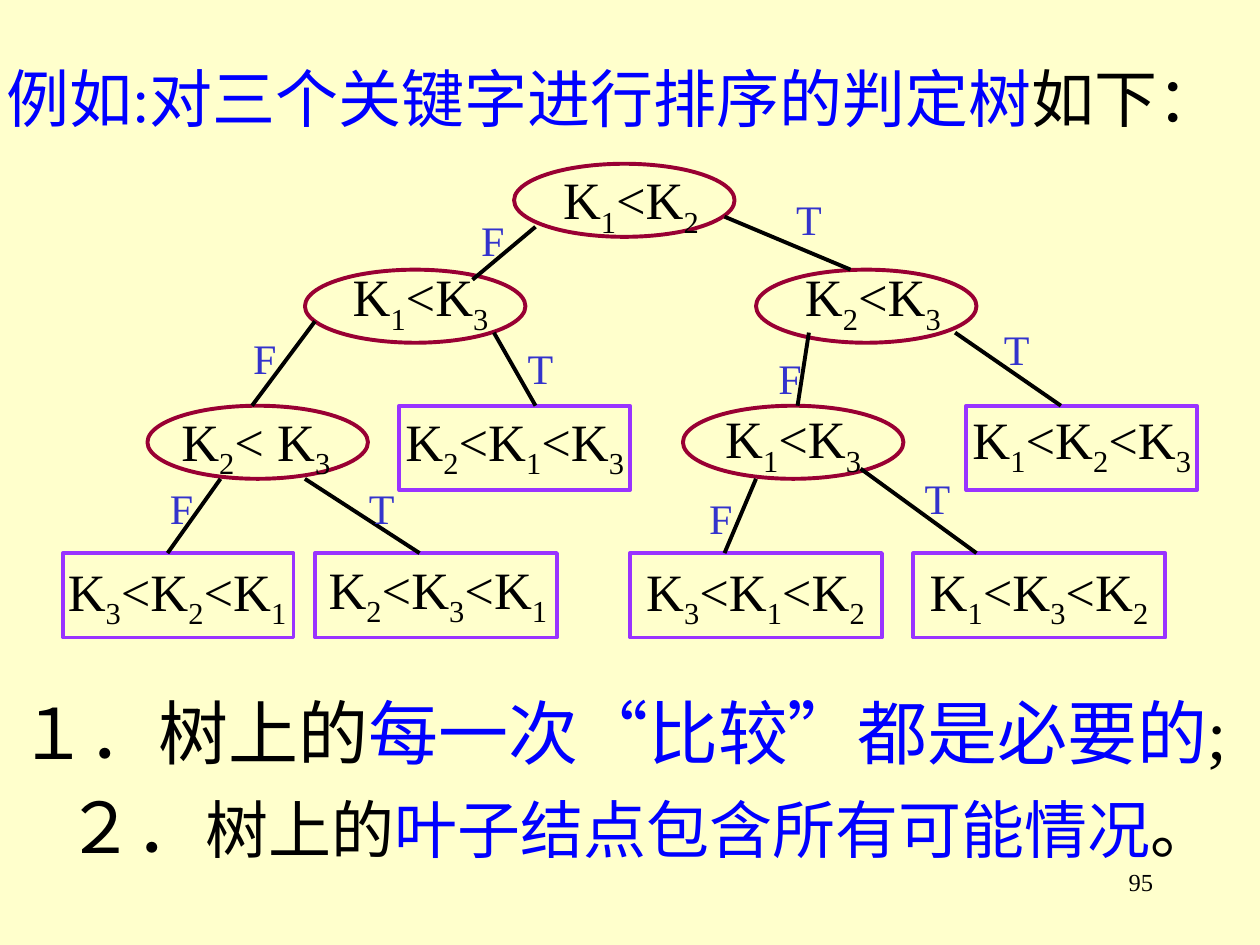
from dataclasses import dataclass
from typing import Optional

from lxml.etree import SubElement
from pptx import Presentation
from pptx.dml.color import RGBColor
from pptx.enum.shapes import MSO_CONNECTOR, MSO_SHAPE
from pptx.enum.text import MSO_ANCHOR, MSO_AUTO_SIZE, PP_ALIGN
from pptx.oxml.ns import qn
from pptx.util import Inches, Pt

FONT_NAME = "Times New Roman"
BACKGROUND = RGBColor(0xFF, 0xFF, 0xCC)
BLACK = RGBColor(0x00, 0x00, 0x00)
BLUE = RGBColor(0x00, 0x00, 0xFF)
BRANCH_BLUE = RGBColor(0x33, 0x33, 0xCC)
TEST_RED = RGBColor(0x99, 0x00, 0x33)
LEAF_PURPLE = RGBColor(0x99, 0x33, 0xFF)

LINE_WIDTH = 2.25
TEST_WIDTH, TEST_HEIGHT = 1.75, 0.58
LEAF_HEIGHT = 0.67
LABEL_HEIGHT = 0.67


@dataclass
class Label:
    """A comparison; its digits are set as subscripts."""
    text: str
    left: float
    top: float
    width: float


@dataclass
class Test:
    """An inner node; without a label, its text sits inside the ellipse."""
    left: float
    top: float
    label: Optional[Label] = None
    inner_text: str = ""


@dataclass
class Leaf:
    left: float
    top: float
    width: float
    label: Label


@dataclass
class Branch:
    start: tuple[float, float]
    end: tuple[float, float]
    answer: str
    answer_left: float
    answer_top: float


@dataclass
class Piece:
    text: str
    color: RGBColor
    size: Optional[float] = None


@dataclass
class Sentence:
    left: float
    top: float
    width: float
    height: float
    size: float
    pieces: list[Piece]


TESTS = [
    Test(4.08, 1.3, Label("K1<K2", 4.37, 1.28, 1.28)),
    Test(2.42, 2.14, Label("K1<K3", 2.7, 2.05, 1.28)),
    Test(6, 2.14, Label("K2<K3", 6.29, 2.05, 1.28)),
    Test(1.17, 3.22, Label("K2< K3", 1.34, 3.2, 1.38)),
    Test(5.42, 3.22, inner_text="K1<K3"),
]

LEAVES = [
    Leaf(3.17, 3.22, 1.83, Label("K2<K1<K3", 3.12, 3.2, 1.93)),
    Leaf(7.67, 3.22, 1.83, Label("K1<K2<K3", 7.62, 3.18, 1.93)),
    Leaf(0.5, 4.39, 1.83, Label("K3<K2<K1", 0.44, 4.39, 1.93)),
    Leaf(2.5, 4.39, 1.92, Label("K2<K3<K1", 2.51, 4.37, 1.93)),
    Leaf(5, 4.39, 2, Label("K3<K1<K2", 5.03, 4.39, 1.93)),
    Leaf(7.25, 4.39, 2, Label("K1<K3<K2", 7.28, 4.39, 1.93)),
]

BRANCHES = [
    Branch((4.25, 1.8), (3.75, 2.22), "F", 3.72, 1.65),
    Branch((5.75, 1.72), (6.75, 2.14), "T", 6.22, 1.49),
    Branch((2.5, 2.55), (2, 3.22), "F", 1.91, 2.59),
    Branch((3.92, 2.64), (4.25, 3.22), "T", 4.09, 2.67),
    Branch((6.42, 2.64), (6.33, 3.22), "F", 6.08, 2.75),
    Branch((7.58, 2.64), (8.42, 3.22), "T", 7.87, 2.52),
    Branch((1.75, 3.8), (1.33, 4.39), "F", 1.25, 3.78),
    Branch((2.42, 3.8), (3.33, 4.39), "T", 2.83, 3.78),
    Branch((6, 3.8), (5.75, 4.39), "F", 5.53, 3.86),
    Branch((6.83, 3.72), (7.75, 4.39), "T", 7.24, 3.7),
]

SENTENCES = [
    Sentence(-0.05, 0.42, 10.6, 0.7, 36, [
        Piece("例如:对三个关键字进行排序的判定树", BLUE), Piece("如下：", BLACK)]),
    Sentence(0.05, 5.42, 9.92, 0.77, 40, [
        Piece("１．树上的", BLACK), Piece("每一次“比较”都是必要的", BLUE),
        Piece(";", BLACK)]),
    Sentence(0.42, 6.17, 9.31, 0.77, 40, [
        Piece("２．", BLACK), Piece("树上的", BLACK, 36),
        Piece("叶子结点包含所有可能情况", BLUE, 36), Piece("。", BLACK, 36)]),
]


def style_paragraph(paragraph, size: float, color: RGBColor, alignment=PP_ALIGN.LEFT) -> None:
    paragraph.alignment = alignment
    paragraph.font.name = FONT_NAME
    paragraph.font.size = Pt(size)
    paragraph.font.color.rgb = color


def add_text_box(slide, left: float, top: float, width: float, height: float,
                 right_margin: float = 0.1):
    """Add an unwrapped text box and return its paragraph."""
    box = slide.shapes.add_textbox(Inches(left), Inches(top), Inches(width), Inches(height))
    box.text_frame.word_wrap = False
    box.text_frame.auto_size = MSO_AUTO_SIZE.SHAPE_TO_FIT_TEXT
    box.text_frame.margin_right = Inches(right_margin)
    return box.text_frame.paragraphs[0]


def write_comparison(paragraph, text: str, alignment=PP_ALIGN.LEFT) -> None:
    style_paragraph(paragraph, 30, BLACK, alignment)
    for part in text.replace("K", "K|").replace("<", "|<").split("|"):
        run = paragraph.add_run()
        run.text = part
        if part.isdigit():
            run.font._element.set("baseline", "-25000")


def add_outline(slide, kind, left: float, top: float, width: float, height: float,
                color: RGBColor):
    shape = slide.shapes.add_shape(
        kind, Inches(left), Inches(top), Inches(width), Inches(height))
    shape.shadow.inherit = False
    shape.fill.background()
    shape.line.color.rgb = color
    shape.line.width = Pt(LINE_WIDTH)
    return shape


def add_label(slide, label: Label) -> None:
    # No right margin, so that the last subscript has room on the line
    paragraph = add_text_box(slide, label.left, label.top, label.width, LABEL_HEIGHT,
                             right_margin=0)
    write_comparison(paragraph, label.text)


def add_test(slide, test: Test) -> None:
    ellipse = add_outline(slide, MSO_SHAPE.OVAL, test.left, test.top,
                          TEST_WIDTH, TEST_HEIGHT, TEST_RED)
    if test.label:
        add_label(slide, test.label)
    else:
        frame = ellipse.text_frame
        frame.word_wrap = False
        frame.vertical_anchor = MSO_ANCHOR.MIDDLE
        write_comparison(frame.paragraphs[0], test.inner_text, PP_ALIGN.CENTER)


def add_leaf(slide, leaf: Leaf) -> None:
    add_outline(slide, MSO_SHAPE.RECTANGLE, leaf.left, leaf.top,
                leaf.width, LEAF_HEIGHT, LEAF_PURPLE)
    add_label(slide, leaf.label)


def add_branch(slide, branch: Branch) -> None:
    ends = [Inches(value) for value in branch.start + branch.end]
    connector = slide.shapes.add_connector(MSO_CONNECTOR.STRAIGHT, *ends)
    connector.line.color.rgb = BLACK
    connector.line.width = Pt(LINE_WIDTH)
    SubElement(connector._element.spPr, qn("a:effectLst"))
    paragraph = add_text_box(slide, branch.answer_left, branch.answer_top,
                             0.4 if branch.answer == "T" else 0.38, 0.5)
    style_paragraph(paragraph, 24, BRANCH_BLUE, PP_ALIGN.CENTER)
    paragraph.add_run().text = branch.answer


def add_sentence(slide, sentence: Sentence) -> None:
    paragraph = add_text_box(slide, sentence.left, sentence.top,
                             sentence.width, sentence.height)
    style_paragraph(paragraph, sentence.size, BLACK)
    for piece in sentence.pieces:
        run = paragraph.add_run()
        run.text = piece.text
        run.font.color.rgb = piece.color
        if piece.size:
            run.font.size = Pt(piece.size)


def main() -> None:
    presentation = Presentation()
    presentation.slide_width, presentation.slide_height = Inches(10), Inches(7.5)
    slide = presentation.slides.add_slide(presentation.slide_layouts[6])
    slide.background.fill.solid()
    slide.background.fill.fore_color.rgb = BACKGROUND
    # Decision tree
    for test in TESTS:
        add_test(slide, test)
    for leaf in LEAVES:
        add_leaf(slide, leaf)
    for branch in BRANCHES:
        add_branch(slide, branch)
    # Title and conclusions
    for sentence in SENTENCES:
        add_sentence(slide, sentence)
    # Slide number
    number = slide.shapes.add_textbox(Inches(7.17), Inches(6.83), Inches(2.08), Inches(0.5))
    number.text_frame.word_wrap = True
    paragraph = number.text_frame.paragraphs[0]
    style_paragraph(paragraph, 14, BLACK, PP_ALIGN.RIGHT)
    paragraph.add_run().text = "95"
    presentation.save("out.pptx")


if __name__ == "__main__":
    main()
